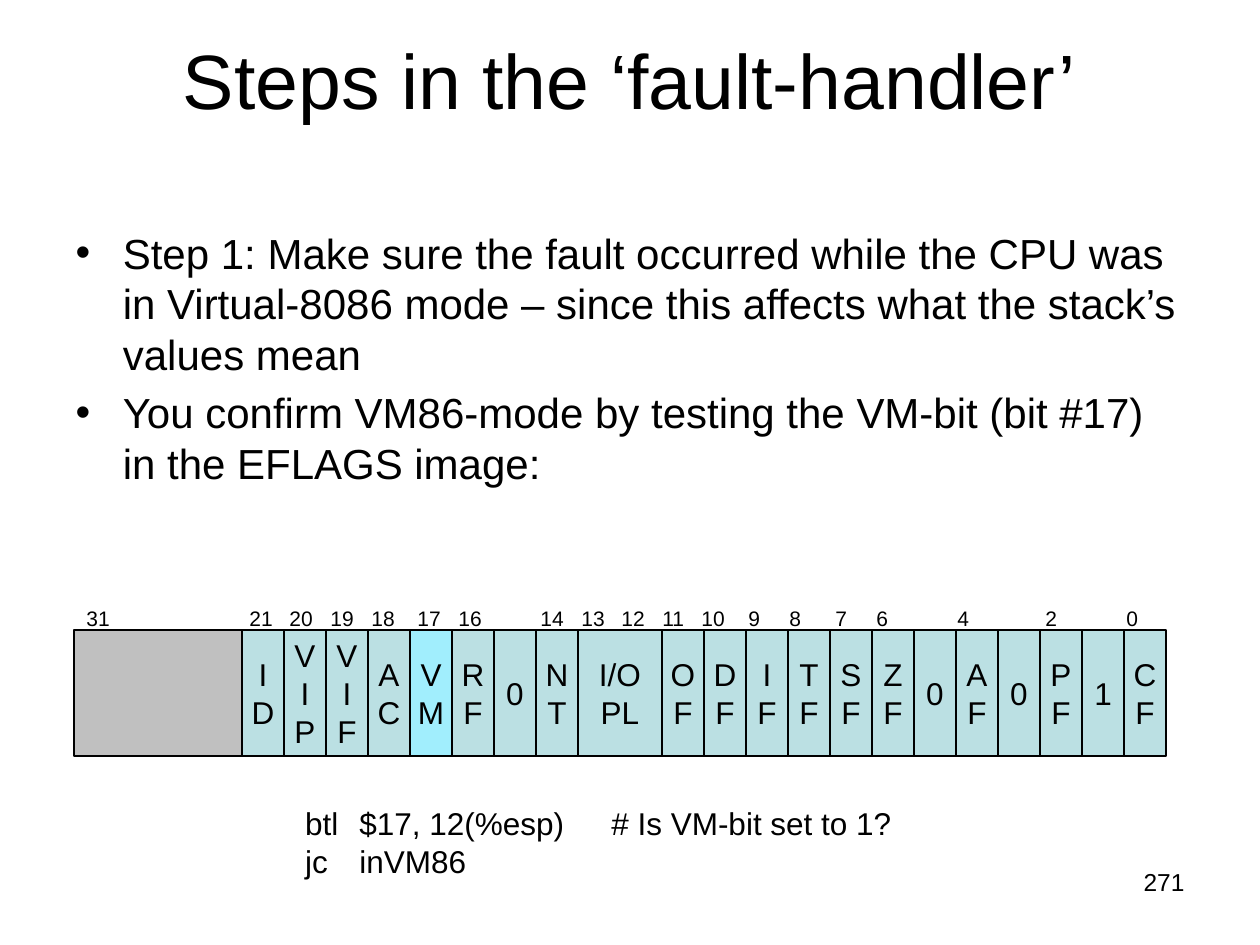
import pptx
import pptx.dml.color
import pptx.enum.shapes
import pptx.enum.text
import pptx.oxml
import pptx.oxml.ns
import pptx.util

ALIGN = pptx.enum.text.PP_ALIGN
ANCHOR = pptx.enum.text.MSO_ANCHOR

HEADING = "Steps in the ‘fault-handler’"
STEPS = [
    "Step 1: Make sure the fault occurred while the CPU was in Virtual-8086 mode – "
    "since this affects what the stack’s values mean",
    "You confirm VM86-mode by testing the VM-bit (bit #17) in the EFLAGS image:",
]
RESERVED, FLAG, TESTED, BLACK = "C0C0C0", "BBE0E3", "A1EEFD", "000000"
FIELDS = [
    ("", 4), ("I\nD", 1), ("V\nI\nP", 1), ("V\nI\nF", 1), ("A\nC", 1), ("V\nM", 1),
    ("R\nF", 1), ("0", 1), ("N\nT", 1), ("I/O\nPL", 2), ("O\nF", 1), ("D\nF", 1),
    ("I\nF", 1), ("T\nF", 1), ("S\nF", 1), ("Z\nF", 1), ("0", 1), ("A\nF", 1),
    ("0", 1), ("P\nF", 1), ("1", 1), ("C\nF", 1),
]
FIELD_FILLS = {"": RESERVED, "V\nM": TESTED}
FIRST_BIT = "31"
BIT_STOPS = [
    ("21", 163), ("20", 203), ("19", 244), ("18", 285), ("17", 331), ("16", 372),
    ("14", 454), ("13", 495), ("12", 535), ("11", 576), ("10", 615), ("9", 662),
    ("8", 703), ("7", 749), ("6", 790), ("4", 871), ("2", 959), ("0", 1040),
]
CODE = " btl\t$17, 12(%esp)\t# Is VM-bit set to 1?\n jc\tinVM86"
PAGE = "271"
REGISTER_LEFT, REGISTER_TOP, BIT_WIDTH, REGISTER_HEIGHT = 74, 630, 42, 126


def px(length):
    return pptx.util.Emu(round(length * 914400 / 126))


def rgb(value):
    return pptx.dml.color.RGBColor.from_string(value)


def write(shape, text, size, align=ALIGN.LEFT, anchor=ANCHOR.TOP, wrap=True):
    frame = shape.text_frame
    frame.text = text
    frame.word_wrap = wrap
    frame.auto_size = pptx.enum.text.MSO_AUTO_SIZE.NONE
    frame.vertical_anchor = anchor
    for paragraph in frame.paragraphs:
        paragraph.alignment = align
        for run in paragraph.runs:
            run.font.size = pptx.util.Pt(size)
            run.font.name = "Arial"
            run.font.color.rgb = rgb(BLACK)
    return frame


def place(shape, left, top, width, height):
    shape.left, shape.top = px(left), px(top)
    shape.width, shape.height = px(width), px(height)
    return shape


def add_label(slide, left, top, width, height):
    return slide.shapes.add_textbox(px(left), px(top), px(width), px(height))


def add_field(slide, name, left, width):
    field = slide.shapes.add_shape(
        pptx.enum.shapes.MSO_SHAPE.RECTANGLE,
        px(left), px(REGISTER_TOP), px(width), px(REGISTER_HEIGHT))
    field.shadow.inherit = False
    field.fill.solid()
    field.fill.fore_color.rgb = rgb(FIELD_FILLS.get(name, FLAG))
    field.line.color.rgb = rgb(BLACK)
    field.line.width = pptx.util.Pt(0.75)
    if name:
        write(field, name, 18, ALIGN.CENTER, ANCHOR.MIDDLE, wrap=False)


def add_bit_numbers(slide):
    numbers = add_label(slide, REGISTER_LEFT, 599, 1087, 38)
    text = "\t".join([FIRST_BIT] + [bit for bit, stop in BIT_STOPS])
    frame = write(numbers, text, 12)
    properties = frame.paragraphs[0]._p.get_or_add_pPr()
    stops = pptx.oxml.parse_xml("<a:tabLst %s/>" % pptx.oxml.ns.nsdecls("a"))
    for bit, stop in BIT_STOPS:
        tab = stops.makeelement(pptx.oxml.ns.qn("a:tab"), {"pos": str(px(stop)), "algn": "l"})
        stops.append(tab)
    properties.append(stops)


def main():
    deck = pptx.Presentation()
    deck.slide_width, deck.slide_height = px(1260), px(945)
    slide = deck.slides.add_slide(deck.slide_layouts[1])

    heading = place(slide.shapes.title, 63, 0, 1134, 158)
    write(heading, HEADING, 44, ALIGN.CENTER, ANCHOR.MIDDLE)
    steps = place(slide.placeholders[1], 63, 221, 1134, 624)
    frame = write(steps, "\n".join(STEPS), 24)
    frame.paragraphs[0].space_before = pptx.util.Pt(0)

    left = REGISTER_LEFT
    for name, bits in FIELDS:
        add_field(slide, name, left, bits * BIT_WIDTH)
        left += bits * BIT_WIDTH
    add_bit_numbers(slide)

    write(add_label(slide, 284, 798, 683, 88), CODE, 18)
    write(add_label(slide, 903, 861, 294, 66), PAGE, 14, ALIGN.RIGHT)
    deck.save("out.pptx")


if __name__ == "__main__":
    main()
